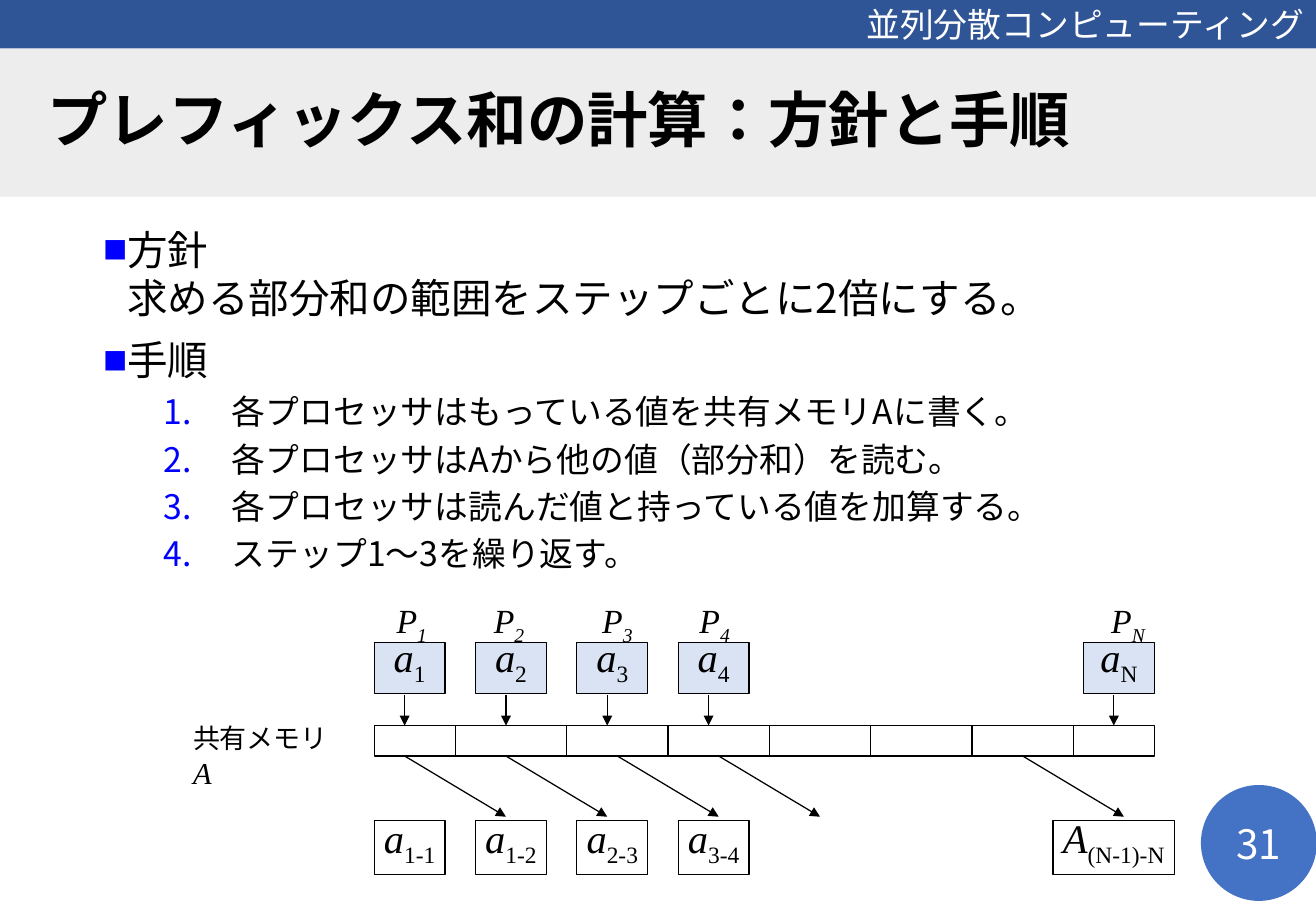
from typing import NamedTuple

from lxml.etree import SubElement
from pptx import Presentation
from pptx.dml.color import RGBColor
from pptx.enum.lang import MSO_LANGUAGE_ID as Language
from pptx.enum.shapes import MSO_CONNECTOR as Connector, MSO_SHAPE as Preset
from pptx.enum.text import MSO_ANCHOR as Anchor, MSO_AUTO_SIZE as AutoSize, PP_ALIGN as Align
from pptx.oxml.ns import qn
from pptx.util import Inches, Pt

WIDTH, HEIGHT = 10.83, 7.5
BLACK = RGBColor(0x00, 0x00, 0x00)
WHITE = RGBColor(0xFF, 0xFF, 0xFF)
BAND_BLUE = RGBColor(0x2F, 0x55, 0x97)
CIRCLE_BLUE = RGBColor(0x44, 0x72, 0xC4)
TITLE_GRAY = RGBColor(0xED, 0xED, 0xED)
CELL_BLUE = RGBColor(0xDA, 0xE3, 0xF3)
BULLET_BLUE = RGBColor(0x00, 0x00, 0xFF)
SANS, SERIF, LATO = "Noto Sans CJK JP", "Times New Roman", "Lato"

GRID_COLUMNS = 77
LABEL_ROW, VALUE_ROW, WRITE_ROW, MEMORY_ROW = 0, 4.8, 10, 13
READ_ROW, READ_END_ROW, RESULT_ROW = 16, 22, 22.4
PROCESSORS = [
    ("1", 0, 3.7),
    ("2", 10, 13.3),
    ("3", 20, 24),
    ("4", 30, 33.6),
    ("N", 70, 74.4),
]
DIVIDERS = [8, *range(19, 70, 10)]
READ_STARTS = [3, 13, 24, 34, 64]
RESULTS = [
    ("a", "1-1", 0, 7),
    ("a", "1-2", 10, 7),
    ("a", "2-3", 20, 7),
    ("a", "3-4", 30, 7),
    ("A", "(N-1)-N", 67, 12),
]
POLICY = ["方針\v求める部分和の範囲をステップごとに2倍にする。", "手順"]
STEPS = [
    "各プロセッサはもっている値を共有メモリAに書く。",
    "各プロセッサはAから他の値（部分和）を読む。",
    "各プロセッサは読んだ値と持っている値を加算する。",
    "ステップ1～3を繰り返す。",
]


class Box(NamedTuple):
    left: float
    top: float
    width: float
    height: float

    def lengths(self):
        return [Inches(value) for value in self]

    def cell(self, column, row, columns, rows):
        unit = self.width / GRID_COLUMNS
        return Box(self.left + column * unit, self.top + row * unit, columns * unit, rows * unit)


def format_run(run, size, color=BLACK, name=SANS, italic=False):
    run.font.size = Pt(size)
    run.font.color.rgb = color
    run.font.name = name
    run.font.italic = italic
    run.font.language_id = Language.JAPANESE
    SubElement(run.font._element, qn("a:ea")).set("typeface", SANS)


def add_preset(slide, box, preset=Preset.RECTANGLE, fill=None, line=None, weight=0.75):
    shape = slide.shapes.add_shape(preset, *box.lengths())
    shape.shadow.inherit = False
    if fill is None:
        shape.fill.background()
    else:
        shape.fill.solid()
        shape.fill.fore_color.rgb = fill
    if line is None:
        shape.line.fill.background()
    else:
        shape.line.color.rgb = line
        shape.line.width = Pt(weight)
    return shape


def add_line(slide, start, end, arrow=False):
    points = [Inches(value) for value in (start.left, start.top, end.left, end.top)]
    connector = slide.shapes.add_connector(Connector.STRAIGHT, *points)
    connector.line.color.rgb = BLACK
    connector.line.width = Pt(0.75)
    if arrow:
        SubElement(connector.line._get_or_add_ln(), qn("a:tailEnd")).set("type", "triangle")
    SubElement(connector._element.spPr, qn("a:effectLst"))


def write_symbol(shape, letter, subscript, size, subscript_italic, anchor):
    frame = shape.text_frame
    frame.word_wrap = False
    frame.vertical_anchor = anchor
    paragraph = frame.paragraphs[0]
    paragraph.alignment = Align.CENTER
    for text, italic in ((letter, True), (subscript, subscript_italic)):
        run = paragraph.add_run()
        run.text = text
        format_run(run, size, name=SERIF, italic=italic)
    run.font._element.set("baseline", "-25000")


def write_line(shape, text, alignment, size, color, name):
    frame = shape.text_frame
    frame.text = text
    frame.word_wrap = True
    frame.vertical_anchor = Anchor.MIDDLE
    frame.paragraphs[0].alignment = alignment
    format_run(frame.paragraphs[0].runs[0], size, color, name)


def add_header(slide, box):
    band = add_preset(slide, box, fill=BAND_BLUE)
    write_line(band, "並列分散コンピューティング", Align.RIGHT, 20, WHITE, LATO)


def add_title(slide, box):
    title = slide.shapes.title
    title.left, title.top, title.width, title.height = box.lengths()
    title.fill.solid()
    title.fill.fore_color.rgb = TITLE_GRAY
    write_line(title, "プレフィックス和の計算：方針と手順", Align.LEFT, 35.8, BLACK, SANS)
    frame = title.text_frame
    frame.auto_size = AutoSize.NONE
    frame.margin_left = Inches(0.39)
    frame.paragraphs[0].line_spacing = 0.9
    frame.paragraphs[0].runs[0].font.bold = True


def set_bullet(paragraph, margin, hanging, numbered):
    properties = paragraph._p.get_or_add_pPr()
    properties.set("marL", str(Inches(margin)))
    properties.set("indent", str(-Inches(hanging)))
    color = SubElement(properties, qn("a:buClr"))
    SubElement(color, qn("a:srgbClr")).set("val", str(BULLET_BLUE))
    if not numbered:
        SubElement(properties, qn("a:buSzPct")).set("val", "60000")
    SubElement(properties, qn("a:buFont")).set("typeface", SANS)
    if numbered:
        SubElement(properties, qn("a:buAutoNum")).set("type", "arabicPeriod")
    else:
        SubElement(properties, qn("a:buChar")).set("char", "■")


def add_body(slide, box):
    frame = slide.shapes.add_textbox(*box.lengths()).text_frame
    frame.word_wrap = True
    for index, text in enumerate(POLICY + STEPS):
        numbered = index >= len(POLICY)
        paragraph = frame.add_paragraph() if index else frame.paragraphs[0]
        paragraph.text = text
        if numbered:
            paragraph.level = 1
            set_bullet(paragraph, 1.06, 0.56, True)
        else:
            set_bullet(paragraph, 0.2, 0.2, False)
        if index:
            paragraph.space_before = Pt(4.1 if numbered else 8.1)
        for run in paragraph.runs:
            format_run(run, 20 if numbered else 24)


def add_memory_label(slide, box):
    frame = slide.shapes.add_textbox(*box.lengths()).text_frame
    frame.word_wrap = True
    for text, size, italic in (("共有メモリ ", 16, False), ("A", 18, True)):
        run = frame.paragraphs[0].add_run()
        run.text = text
        format_run(run, size, name=SERIF, italic=italic)


def add_diagram(slide, box):
    def point(column, row):
        return box.cell(column, row, 0, 0)

    add_preset(slide, box.cell(0, MEMORY_ROW, GRID_COLUMNS, READ_ROW - MEMORY_ROW), line=BLACK)
    for column in DIVIDERS:
        add_line(slide, point(column, MEMORY_ROW), point(column, READ_ROW))
    for column in READ_STARTS:
        add_line(slide, point(column, READ_ROW), point(column + 10, READ_END_ROW), arrow=True)
    for letter, subscript, column, columns in RESULTS:
        result = add_preset(slide, box.cell(column, RESULT_ROW, columns, 5.3), fill=WHITE, line=BLACK)
        write_symbol(result, letter, subscript, 24, False, Anchor.BOTTOM)
    for subscript, column, label_center in PROCESSORS:
        add_line(slide, point(column + 3, WRITE_ROW), point(column + 3, MEMORY_ROW), arrow=True)
        value = add_preset(slide, box.cell(column, VALUE_ROW, 7, 5), fill=CELL_BLUE, line=BLACK)
        write_symbol(value, "a", subscript, 24, False, Anchor.BOTTOM)
        label = slide.shapes.add_textbox(*box.cell(label_center - 4, LABEL_ROW, 8, 5.3).lengths())
        write_symbol(label, "P", subscript, 20, True, Anchor.TOP)


def add_slide_number(slide, box):
    circle = add_preset(slide, box, Preset.OVAL, CIRCLE_BLUE, CIRCLE_BLUE, 1)
    write_line(circle, "31", Align.CENTER, 24, WHITE, SANS)


def main():
    presentation = Presentation()
    presentation.slide_width, presentation.slide_height = Inches(WIDTH), Inches(HEIGHT)
    slide = presentation.slides.add_slide(presentation.slide_layouts[5])
    add_header(slide, Box(0, 0, WIDTH, 0.4))
    add_title(slide, Box(0, 0.4, WIDTH, 1.22))
    add_body(slide, Box(0.75, 1.8, 9.34, 3))
    add_memory_label(slide, Box(1.49, 5.89, 1.39, 0.7))
    add_diagram(slide, Box(3.08, 4.89, 6.42, 2.31))
    add_slide_number(slide, Box(9.89, 6.47, 0.94, 0.94))
    presentation.save("out.pptx")


if __name__ == "__main__":
    main()
